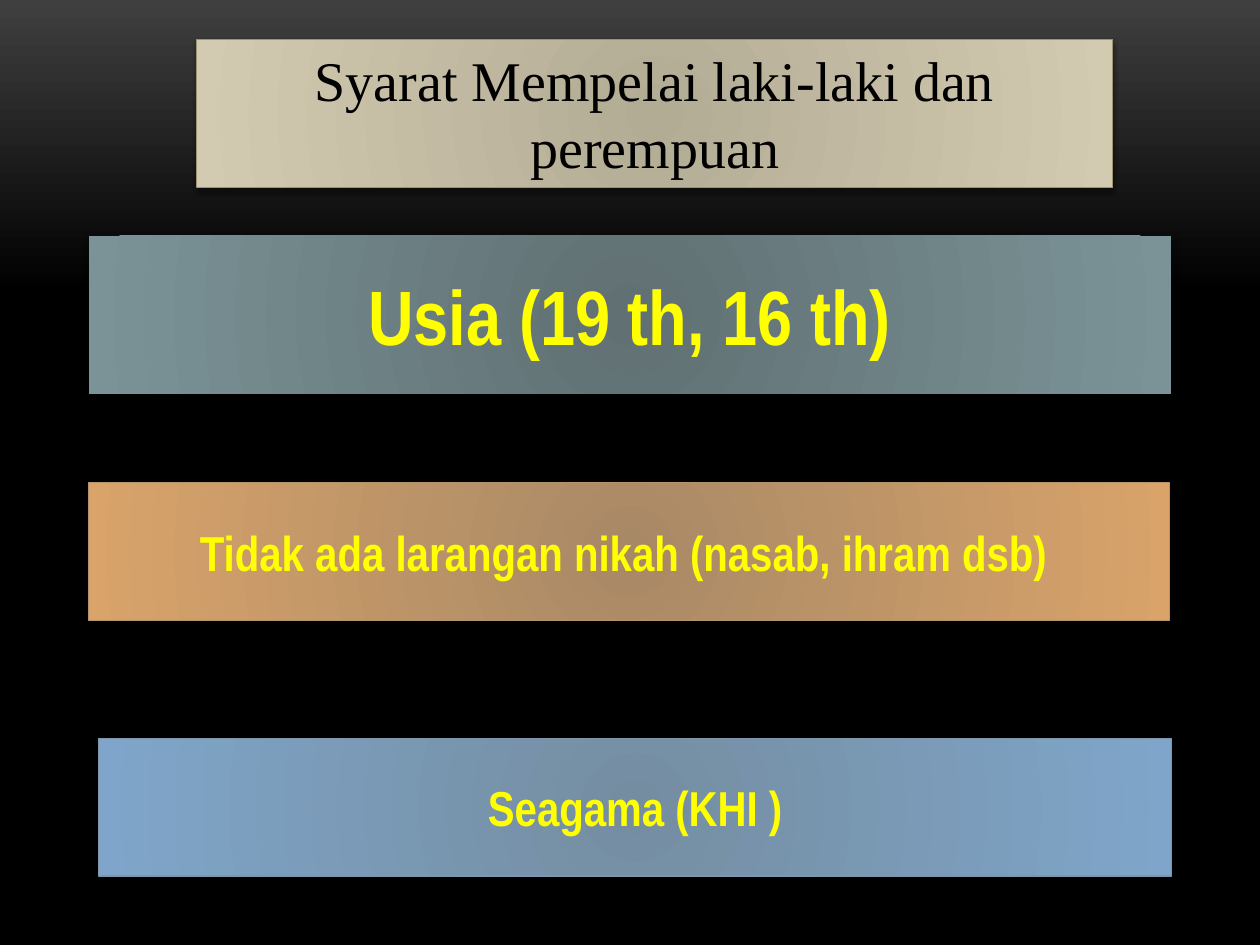
from dataclasses import dataclass
from lxml import etree
from pptx import Presentation
from pptx.dml.color import RGBColor as RGB
from pptx.enum.shapes import MSO_SHAPE as Shape
from pptx.enum.text import MSO_ANCHOR as Anchor, MSO_AUTO_SIZE as Auto, PP_ALIGN as Align
from pptx.oxml.ns import qn
from pptx.util import Pt


@dataclass(frozen=True)
class Theme:
    back: tuple = ((0, "3F3F3F"), (31, "000000"), (100, "000000"))
    teal: tuple = ((0, "607073"), (100, "7B9397"))
    orange: tuple = ((0, "A88966"), (100, "D9A36A"))
    blue: tuple = ((0, "758DA1"), (100, "7FA6CA"))
    sand: tuple = ((0, "B3AC95"), (100, "D3CBB1"))
    orange_line: str = "B4936D"
    blue_line: str = "7E97AD"
    sand_line: str = "9D936F"
    shade: str = "000000"
    ink: str = "000000"
    bright: str = "FFFF00"
    serif: str = "Times New Roman"
    narrow: str = "Arial Narrow"
    head: int = 32
    large: int = 44
    body: int = 28


T = Theme()


def add(parent, tag, **attrs):
    """Append a drawing element with the given attributes."""
    return etree.SubElement(parent, qn(tag), {k: str(v) for k, v in attrs.items()})


def style(target, values):
    for name, value in values.items():
        setattr(target, name, value)


def blend(fill, root, stops, round_fill=True):
    """Give a fill its colour stops, from the middle out or top down."""
    fill.gradient()
    grad = root.find(".//" + qn("a:gradFill"))
    for child in list(grad):
        grad.remove(child)
    row = add(grad, "a:gsLst")
    for pos, color in stops:
        add(add(row, "a:gs", pos=pos * 1000), "a:srgbClr", val=color)
    if round_fill:
        way = add(grad, "a:path", path="circle")
        add(way, "a:fillToRect", **dict.fromkeys("ltrb", 100000))
    else:
        add(grad, "a:lin", ang=90 * 60000, scaled=0)


def cast(shape, blur, dist):
    """Drop a soft shadow straight down."""
    shape.shadow.inherit = False
    root = shape._element.spPr.find(qn("a:effectLst"))
    drop = add(root, "a:outerShdw", blurRad=Pt(blur), dist=Pt(dist),
               dir=90 * 60000, rotWithShape=0)
    add(add(drop, "a:srgbClr", val=T.shade), "a:alpha", val=40000)


def panel(slide, box, text, stops, edge, font, shadow, frame):
    """Place one filled box with a centred line of text."""
    shape = slide.shapes.add_shape(Shape.RECTANGLE, *map(Pt, box))
    blend(shape.fill, shape._element.spPr, stops)
    if edge:
        shape.line.color.rgb = RGB.from_string(edge)
        shape.line.width = Pt(0.75)
    else:
        shape.line.fill.background()
    cast(shape, *shadow)
    style(shape.text_frame, {"word_wrap": True, **frame})
    para = shape.text_frame.paragraphs[0]
    para.alignment = Align.CENTER
    run = para.add_run()
    run.text = text
    name, size, color, bold = font
    style(run.font, {"name": name, "size": Pt(size), "bold": bold})
    run.font.color.rgb = RGB.from_string(color)
    return para


def title(slide, box):
    panel(slide, box, "Syarat Mempelai laki-laki dan perempuan", T.sand, T.sand_line,
          (T.serif, T.head, T.ink, False), (3, 2),
          {"vertical_anchor": Anchor.TOP, "auto_size": Auto.SHAPE_TO_FIT_TEXT})


def term(slide, box, text, stops, edge=None, size=T.body, dist=3.4):
    return panel(slide, box, text, stops, edge, (T.narrow, size, T.bright, True),
                 (4, dist), {"vertical_anchor": Anchor.MIDDLE})


def age(slide, box):
    """The main term, set with a hanging indent."""
    para = term(slide, box, "Usia (19 th, 16 th)", T.teal, size=T.large, dist=2)
    style_at = para._p.get_or_add_pPr()
    style_at.set("marL", str(Pt(40)))
    style_at.set("indent", str(Pt(-40)))


def main():
    deck = Presentation()
    style(deck, {"slide_width": Pt(720), "slide_height": Pt(540)})
    slide = deck.slides.add_slide(deck.slide_layouts[6])
    blend(slide.background.fill, slide._element, T.back, round_fill=False)

    # Three terms of marriage, then the heading
    age(slide, (50.7, 134.8, 618.5, 90.2))
    term(slide, (50.4, 275.8, 617.8, 78.6),
         "Tidak ada larangan nikah (nasab, ihram dsb) ", T.orange, T.orange_line)
    term(slide, (56.2, 422, 613.4, 78.6), "Seagama (KHI )", T.blue, T.blue_line)
    title(slide, (112.5, 22.5, 523.4, 84.8))
    deck.save("out.pptx")


if __name__ == "__main__":
    main()
